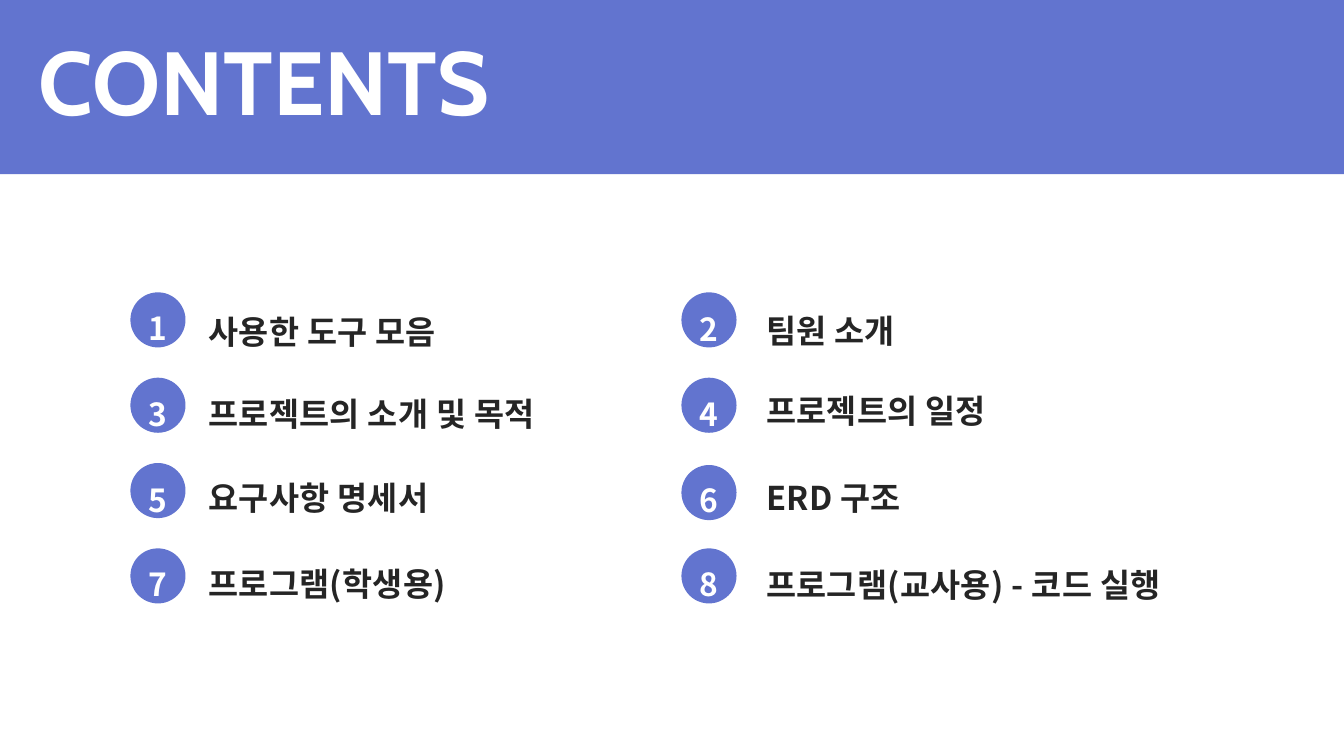
from pptx import Presentation
from pptx.dml.color import RGBColor
from pptx.enum import shapes, text
from pptx.oxml import ns
from pptx.util import Inches, Pt
from lxml import etree

COLORS = {"accent": "6274CF", "white": "FFFFFF", "ink": "252525"}
KOREAN = "Noto Sans CJK KR"


def add_solid(page, kind, left, top, width, height):
    shape = page.shapes.add_shape(kind, Inches(left), Inches(top), Inches(width), Inches(height))
    shape.shadow.inherit = False
    shape.fill.solid()
    shape.fill.fore_color.rgb = RGBColor.from_string(COLORS["accent"])
    shape.line.fill.background()
    return shape


def write(box, place, words, font, size, color, leading, spacing=0, align=text.PP_ALIGN.LEFT):
    """Place a text box or placeholder and fill it with one bold run."""
    box.left, box.top, box.width, box.height = [Inches(length) for length in place]
    frame = box.text_frame
    frame.word_wrap = True
    frame.auto_size = text.MSO_AUTO_SIZE.SHAPE_TO_FIT_TEXT
    frame.vertical_anchor = text.MSO_ANCHOR.TOP
    frame.margin_left = frame.margin_right = frame.margin_top = frame.margin_bottom = 0
    para = frame.paragraphs[0]
    para.alignment = align
    para.line_spacing = Pt(leading)
    para.space_before = Pt(0)
    span = para.add_run()
    span.text = words
    span.font.name = font
    span.font.size = Pt(size)
    span.font.bold = True
    span.font.color.rgb = RGBColor.from_string(COLORS[color])
    properties = span.font._element
    properties.set("spc", str(round(spacing * 100)))
    east_asian = etree.Element(ns.qn("a:ea"), typeface=font)
    properties.find(ns.qn("a:latin")).addnext(east_asian)


deck = Presentation()
deck.slide_width, deck.slide_height = Inches(20), Inches(11.25)
page = deck.slides.add_slide(deck.slide_layouts[5])

title = page.shapes.title
write(title, (0.57, 0.12, 7.78, 1.81), "CONTENTS", "Cabin", 96, "white", 134.4)
band = add_solid(page, shapes.MSO_SHAPE.RECTANGLE, 0, 0, 20, 2.59)
title.element.addprevious(band.element)  # the title lies on the band

# Per entry: wording, then the tops of its number and of its label
entries = [
    ("사용한 도구 모음", 4.09, 4.12),
    ("팀원 소개", 4.1, 4.1),
    ("프로젝트의 소개 및 목적", 5.36, 5.34),
    ("프로젝트의 일정", 5.36, 5.29),
    ("요구사항 명세서", 6.65, 6.59),
    ("ERD 구조", 6.65, 6.59),
    ("프로그램(학생용)", 7.89, 7.87),
    ("프로그램(교사용) - 코드 실행", 7.89, 7.88),
]
circle_lefts, label_lefts = (1.94, 10.14), (3.1, 11.4)

for index, (label, number_top, label_top) in enumerate(entries):
    row, column = divmod(index, 2)
    circle_left = circle_lefts[column]
    circle_top = 6.92 if index == 5 else 4.35 + 1.27 * row
    add_solid(page, shapes.MSO_SHAPE.OVAL, circle_left, circle_top, 0.82, 0.82)

    number_box = page.shapes.add_textbox(0, 0, 0, 0)
    write(number_box, (circle_left + 0.11, number_top, 0.6, 0.96), str(index + 1),
          KOREAN, 34, "white", 77.5, 1, text.PP_ALIGN.CENTER)

    label_width = 6.33 if index == 7 else 5.91
    label_box = page.shapes.add_textbox(0, 0, 0, 0)
    write(label_box, (label_lefts[column], label_top, label_width, 0.97), label,
          KOREAN, 35, "ink", 79.8, 0.3)

deck.save("out.pptx")
